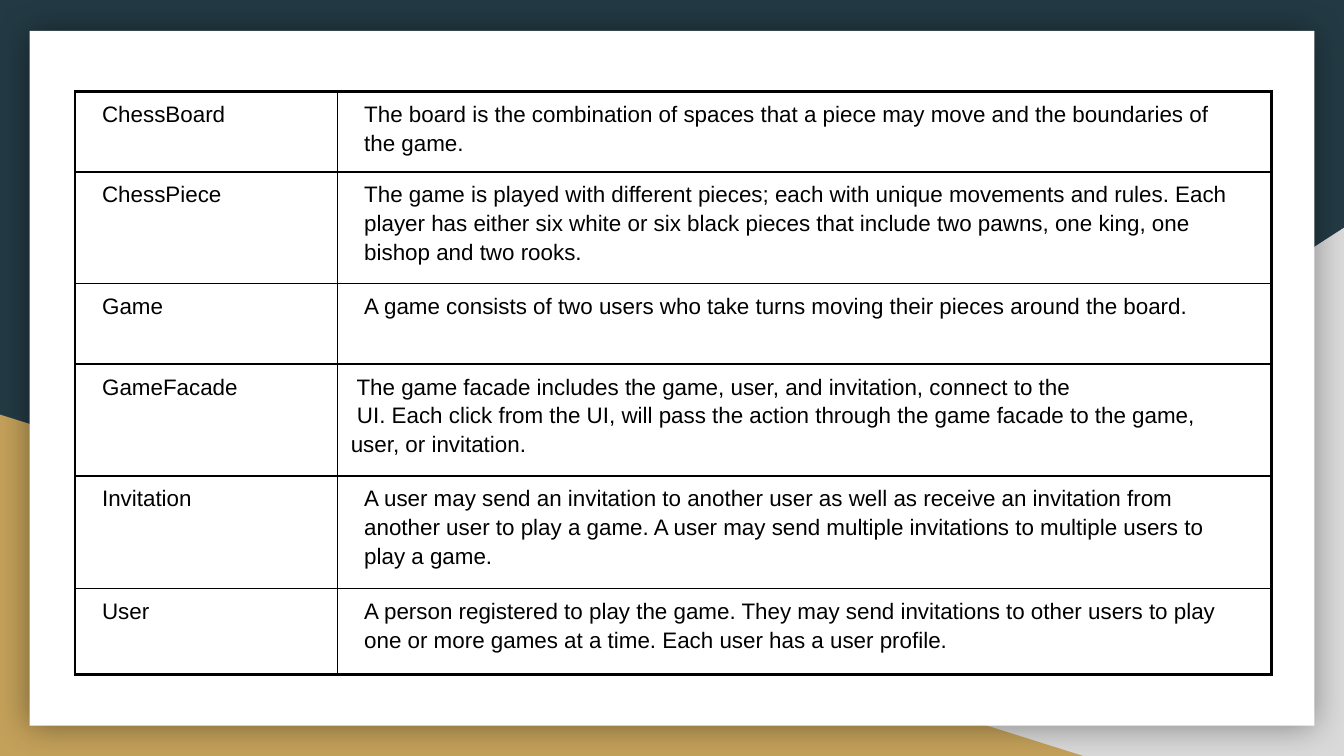
import pptx
import pptx.dml.color
import pptx.enum.shapes
import pptx.oxml
import pptx.oxml.ns
import pptx.util
from lxml import etree

Inches, Pt = pptx.util.Inches, pptx.util.Pt
qn = pptx.oxml.ns.qn
SHAPE = pptx.enum.shapes.MSO_SHAPE

ROW_HEIGHTS = [0.6, 0.83, 0.6, 0.83, 0.84, 0.64]
COLUMN_WIDTHS = [1.95, 6.95]
GLOSSARY = [
    ("ChessBoard", ["The board is the combination of spaces that a piece may move and the boundaries of the game."]),
    ("ChessPiece", ["The game is played with different pieces; each with unique movements and rules. "
                    "Each player has either six white or six black pieces that include two pawns, "
                    "one king, one bishop and two rooks."]),
    ("Game", ["A game consists of two users who take turns moving their pieces around the board."]),
    ("GameFacade", [" The game facade includes the game, user, and invitation, connect to the",
                    " UI. Each click from the UI, will pass the action through the game facade "
                    "to the game, user, or invitation."]),
    ("Invitation", ["A user may send an invitation to another user as well as receive an invitation "
                    "from another user to play a game. A user may send multiple invitations to "
                    "multiple users to play a game."]),
    ("User", ["A person registered to play the game. They may send invitations to other users "
              "to play one or more games at a time. Each user has a user profile."]),
]


def rgb(color):
    return pptx.dml.color.RGBColor.from_string(color)


def add_block(slide, kind, box, color, flip=False):
    sp = slide.shapes.add_shape(kind, *(Inches(v) for v in box))
    sp.shadow.inherit = False
    sp.fill.solid()
    sp.fill.fore_color.rgb = rgb(color)
    sp.line.fill.background()
    if flip:
        sp._element.spPr.find(qn("a:xfrm")).set("flipH", "1")
    return sp


def add_glow(sp, color, blur, alpha):
    """Soft shadow spreading evenly around a shape."""
    effects = sp._element.spPr.find(qn("a:effectLst"))
    shadow = etree.SubElement(effects, qn("a:outerShdw"), blurRad=str(Pt(blur)),
                              dist="0", dir="0", algn="ctr", rotWithShape="0")
    clr = etree.SubElement(shadow, qn("a:srgbClr"), val=color)
    etree.SubElement(clr, qn("a:alpha"), val=str(alpha * 1000))


def write_text(tf, paragraphs, size=12, font="Arial", color="000000", spacing=1.15,
               indent=0.1, right_indent=0.12):
    tf.word_wrap = True
    for i, text in enumerate(paragraphs):
        p = tf.paragraphs[0] if i == 0 else tf.add_paragraph()
        p.line_spacing = spacing
        p_pr = p._p.get_or_add_pPr()
        p_pr.set("marL", str(Inches(indent)))
        p_pr.set("marR", str(Inches(right_indent)))
        r = p.add_run()
        r.text = text
        r.font.size, r.font.name = Pt(size), font
        r.font.color.rgb = rgb(color)


def set_borders(cell, widths, color="000000"):
    tc_pr = cell._tc.get_or_add_tcPr()
    for side, width in zip("LRTB", widths):
        ln = etree.SubElement(tc_pr, qn("a:ln" + side), w=str(Pt(width)))
        fill = etree.SubElement(ln, qn("a:solidFill"))
        etree.SubElement(fill, qn("a:srgbClr"), val=color)


def draw_backdrop(slide, width, height):
    fill = slide.background.fill
    fill.solid()
    fill.fore_color.rgb = rgb("233A44")
    # Corner triangles
    add_block(slide, SHAPE.RIGHT_TRIANGLE, (width - 6.08, height - 3.93, 6.08, 3.93), "D9D9D9", flip=True)
    add_block(slide, SHAPE.RIGHT_TRIANGLE, (0, height - 2.54, 8.06, 2.54), "C4A15A")
    # White card
    card = add_block(slide, SHAPE.RECTANGLE, (0.22, 0.23, width - 0.44, 5.17), "FFFFFF")
    add_glow(card, "000000", blur=18, alpha=40)


def draw_glossary(slide, left, top):
    rows, cols = len(GLOSSARY), len(COLUMN_WIDTHS)
    table = slide.shapes.add_table(rows, cols, Inches(left), Inches(top), Inches(sum(COLUMN_WIDTHS)),
                                   Inches(sum(ROW_HEIGHTS))).table
    table.first_row = table.horz_banding = False
    for column, width in zip(table.columns, COLUMN_WIDTHS):
        column.width = Inches(width)
    for row, height in zip(table.rows, ROW_HEIGHTS):
        row.height = Inches(height)

    for i, (term, meaning) in enumerate(GLOSSARY):
        for j, paragraphs in enumerate(([term], meaning)):
            cell = table.cell(i, j)
            # Heavier outline around the whole table
            outer = (j == 0, j == cols - 1, i == 0, i == rows - 1)
            set_borders(cell, [1.5 if edge else 1 for edge in outer])
            cell.fill.background()
            # Meanings in several paragraphs start at the cell margin
            write_text(cell.text_frame, paragraphs, indent=0.1 if len(paragraphs) == 1 else 0)


def main():
    prs = pptx.Presentation()
    width = 10
    height = width * 9 / 16
    prs.slide_width, prs.slide_height = Inches(width), Inches(height)
    slide = prs.slides.add_slide(prs.slide_layouts[6])
    draw_backdrop(slide, width, height)
    draw_glossary(slide, 0.56, 0.68)
    prs.save("out.pptx")


if __name__ == "__main__":
    main()
